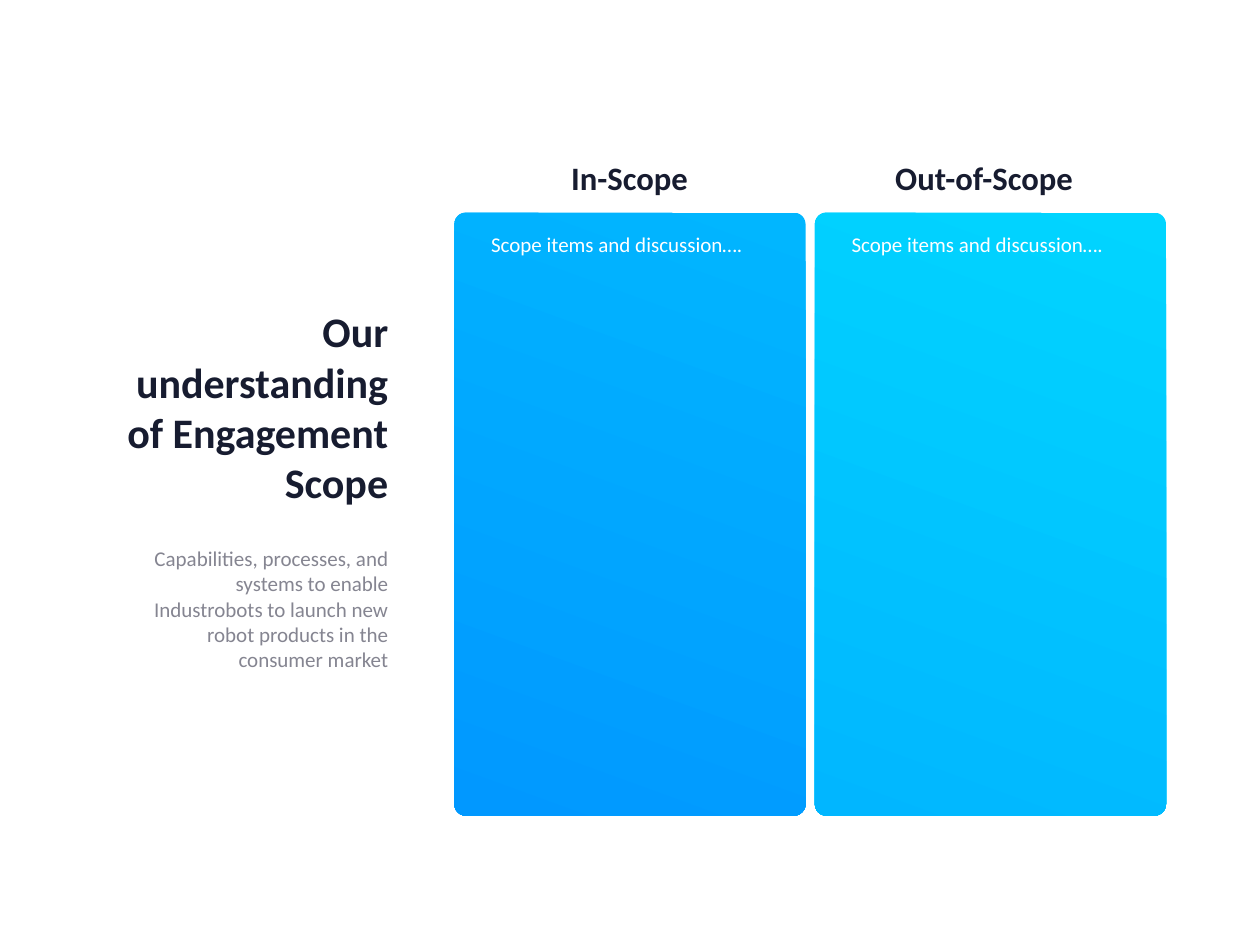
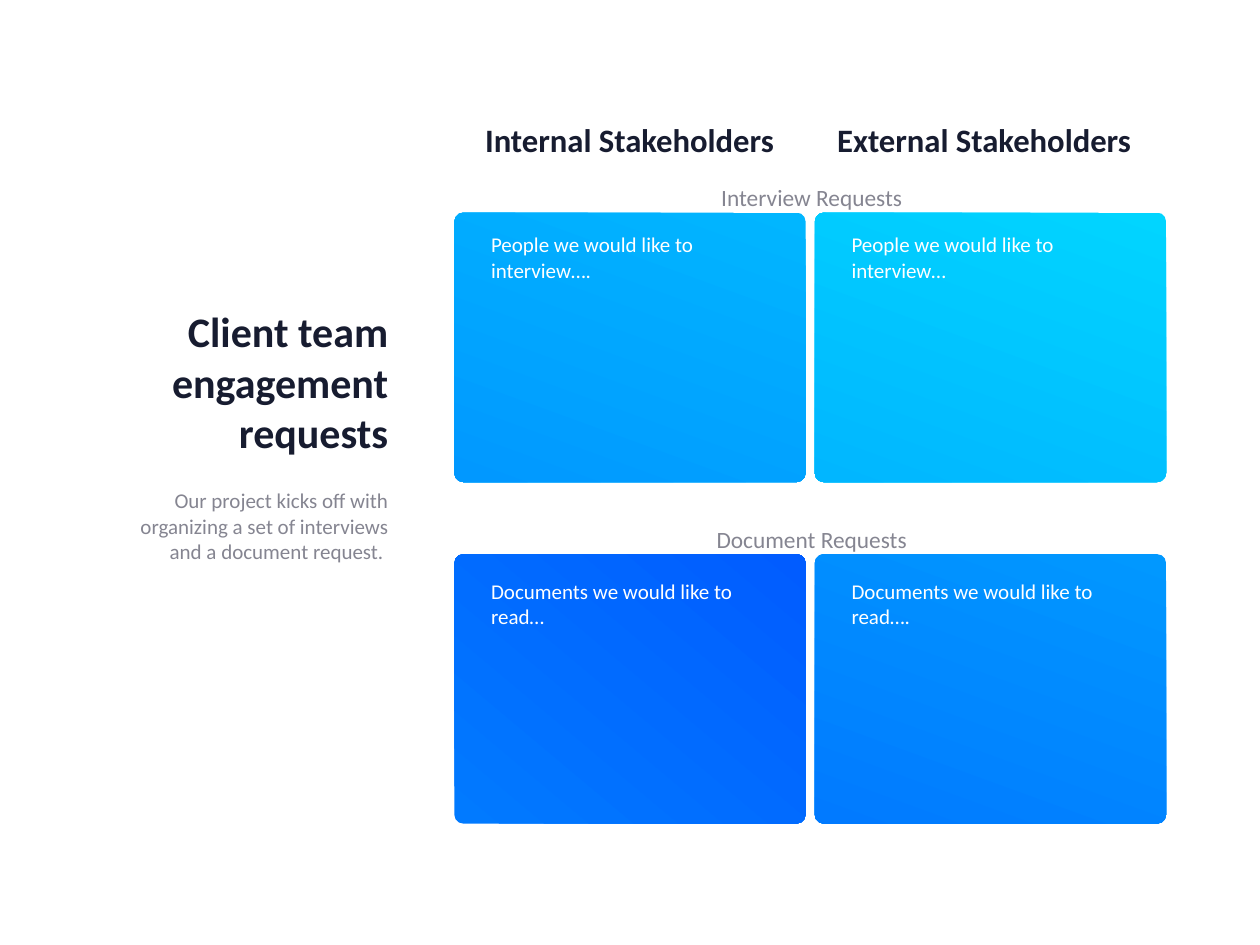
"""Build two engagement slides: scope and client team requests."""
from dataclasses import dataclass

from pptx import Presentation
from pptx.dml.color import RGBColor
from pptx.enum import shapes, text
from pptx.util import Cm, Pt


@dataclass(frozen=True)
class Theme:
    font: str = "Calibri"
    ink: str = "171C30"
    muted: str = "858591"
    paper: str = "FFFFFF"
    title_size: int = 36
    heading_size: int = 28
    label_size: int = 20
    body_size: int = 18


THEME = Theme()
AQUA = ("01D5FF", "01B6FF", 110)
SKY = ("01B6FF", "0198FF", 110)
AZURE = ("0198FF", "017AFF", 110)
ROYAL = ("017AFF", "015CFF", 310)

PAGES = [
    {
        "title": "Our understanding of Engagement Scope",
        "title_size": (9.45, 6.4),
        "summary": "Capabilities, processes, and systems to enable Industrobots "
                   "to launch new robot products in the consumer market",
        "summary_top": 16.38,
        "summary_height": 4.11,
        "headings": ["In-Scope", "Out-of-Scope"],
        "heading_top": 4.65,
        "card_height": 18.24,
        "note_size": (8.69, 1.02),
        "rows": [
            {"label": None, "top": 6.43, "note_drop": 0.46, "cards": [
                ("Scope items and discussion….", SKY),
                ("Scope items and discussion….", AQUA)]},
        ],
    },
    {
        "title": "Client team engagement requests",
        "title_size": (8.71, 4.88),
        "summary": "Our project kicks off with organizing a set of interviews "
                   "and a document request. ",
        "summary_top": 14.63,
        "summary_height": 2.57,
        "headings": ["Internal Stakeholders", "External Stakeholders"],
        "heading_top": 3.51,
        "card_height": 8.15,
        "note_size": (8.89, 1.8),
        "rows": [
            {"label": "Interview Requests", "top": 6.43, "note_drop": 0.46, "cards": [
                ("People we would like to interview….", SKY),
                ("People we would like to interview…", AQUA)]},
            {"label": "Document Requests", "top": 16.76, "note_drop": 0.61, "cards": [
                ("Documents we would like to read…", ROYAL),
                ("Documents we would like to read….", AZURE)]},
        ],
    },
]

SIDE_RIGHT, TITLE_TOP, SUMMARY_WIDTH = 11.99, 9.12, 8.18
CARD_LEFT, CARD_WIDTH, CARD_PITCH, CARD_ROUNDING = 13.74, 10.62, 10.9, 0.033
NOTE_INDENT = 0.86
HEADING_LEFT, HEADING_PITCH, HEADING_SIZE = 14.3, 10.72, (9.47, 1.45)
LABEL_LEFT, LABEL_RISE, LABEL_SIZE = 14.6, 1.0, (19.89, 1.12)


def add_text(page, words, left, top, size, points, color, align="LEFT", bold=False):
    box = page.shapes.add_textbox(Cm(left), Cm(top), Cm(size[0]), Cm(size[1]))
    frame = box.text_frame
    frame.word_wrap = True
    frame.auto_size = text.MSO_AUTO_SIZE.SHAPE_TO_FIT_TEXT
    para = frame.paragraphs[0]
    para.alignment = text.PP_ALIGN[align]
    span = para.add_run()
    span.text = words
    span.font.name = THEME.font
    span.font.size = Pt(points)
    span.font.bold = bold
    span.font.color.rgb = RGBColor.from_string(color)


def add_card(page, left, top, height, blend):
    start, end, clockwise = blend
    card = page.shapes.add_shape(shapes.MSO_SHAPE.ROUNDED_RECTANGLE,
                                 Cm(left), Cm(top), Cm(CARD_WIDTH), Cm(height))
    card.adjustments[0] = CARD_ROUNDING
    card.shadow.inherit = False
    card.line.fill.background()
    card.fill.gradient()
    card.fill.gradient_angle = 360 - clockwise
    for stop, color in zip(card.fill.gradient_stops, (start, end)):
        stop.color.rgb = RGBColor.from_string(color)


def add_side(page, content):
    size = content["title_size"]
    add_text(page, content["title"], SIDE_RIGHT - size[0], TITLE_TOP, size,
             THEME.title_size, THEME.ink, "RIGHT", bold=True)
    add_text(page, content["summary"], SIDE_RIGHT - SUMMARY_WIDTH, content["summary_top"],
             (SUMMARY_WIDTH, content["summary_height"]),
             THEME.body_size, THEME.muted, "RIGHT")


def add_grid(page, content):
    for column, heading in enumerate(content["headings"]):
        add_text(page, heading, HEADING_LEFT + column * HEADING_PITCH,
                 content["heading_top"], HEADING_SIZE,
                 THEME.heading_size, THEME.ink, "CENTER", bold=True)
    for row in content["rows"]:
        for column, (note, blend) in enumerate(row["cards"]):
            left = CARD_LEFT + column * CARD_PITCH
            add_card(page, left, row["top"], content["card_height"], blend)
            add_text(page, note, left + NOTE_INDENT, row["top"] + row["note_drop"],
                     content["note_size"], THEME.body_size, THEME.paper)
        if row["label"]:
            add_text(page, row["label"], LABEL_LEFT, row["top"] - LABEL_RISE, LABEL_SIZE,
                     THEME.label_size, THEME.muted, "CENTER")


def main():
    deck = Presentation()
    deck.slide_width, deck.slide_height = Cm(38.1), Cm(28.58)
    for content in PAGES:
        page = deck.slides.add_slide(deck.slide_layouts[6])
        page.background.fill.solid()
        page.background.fill.fore_color.rgb = RGBColor.from_string(THEME.paper)
        add_side(page, content)
        add_grid(page, content)
    deck.save("out.pptx")


if __name__ == "__main__":
    main()
